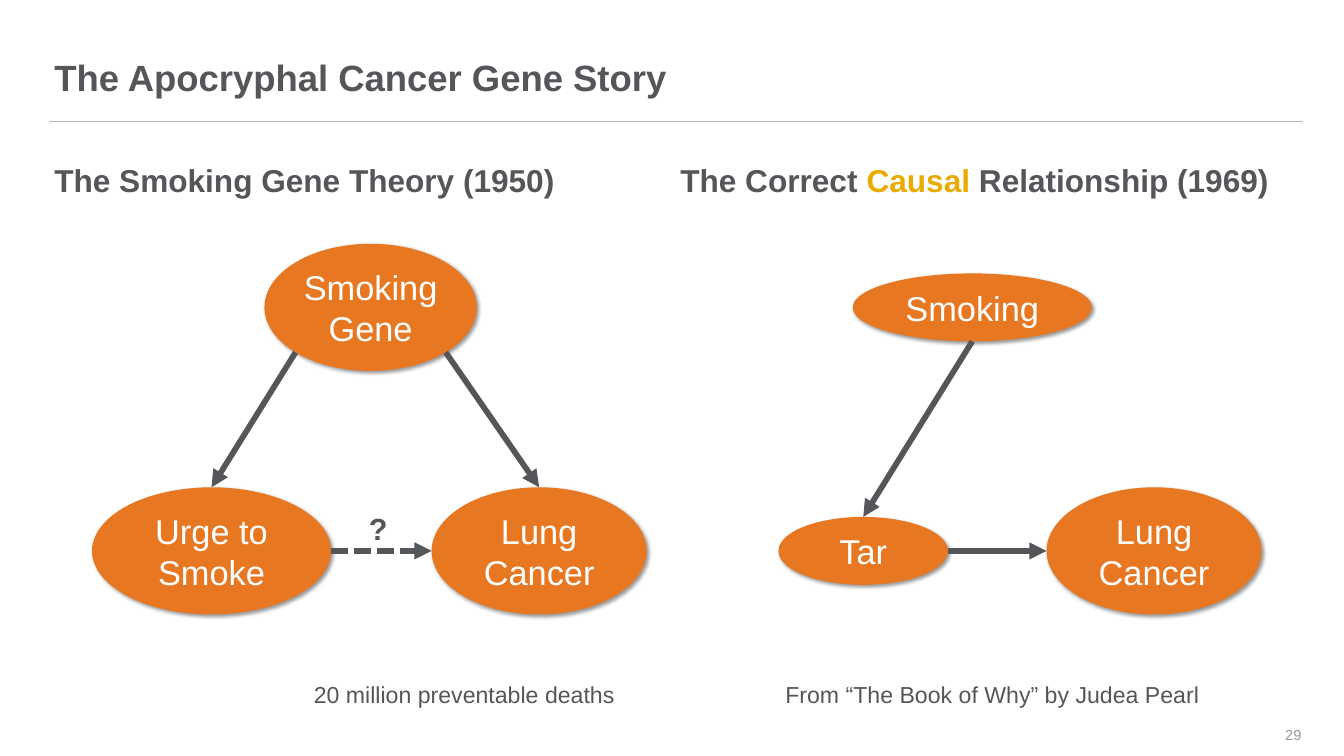
import math
from lxml import etree
from pptx import Presentation
from pptx.dml import color
from pptx.enum import dml, shapes, text
from pptx.oxml import ns
from pptx.util import Cm, Pt

COLORS = {"grey": "55565A", "orange": "E87722", "gold": "EAAA00",
          "rule": "B1B3B3", "pale": "999A9B", "white": "FFFFFF", "shadow": "000000"}
FONT = "Arial"
TOP_ROW, BOTTOM_ROW = 11.36, 20.36
LEFT_EDGE, RIGHT_EDGE = 2.01, 48.11

TITLE = "The Apocryphal Cancer Gene Story"
HEADINGS = [
    (LEFT_EDGE, 18.64, [("The Smoking Gene Theory (1950)", "grey")]),
    (25.15, 22.96, [("The Correct ", "grey"), ("Causal", "gold"),
                    (" Relationship (1969)", "grey")]),
]
NOTES = [
    (11.35, 13.06, "20 million preventable deaths"),
    (28.78, 16.48, "From “The Book of Why” by Judea Pearl"),
]
CAUSES = {
    "gene": ("Smoking\nGene", 13.7, TOP_ROW, 7.85, 4.7),
    "urge": ("Urge to\nSmoke", 7.82, BOTTOM_ROW, 8.84, 4.7),
    "cancer 1950": ("Lung\nCancer", 19.93, BOTTOM_ROW, 7.95, 4.7),
    "smoking": ("Smoking", 35.94, TOP_ROW, 8.84, 2.51),
    "tar": ("Tar", 31.91, BOTTOM_ROW, 6.27, 2.51),
    "cancer 1969": ("Lung\nCancer", 42.66, BOTTOM_ROW, 7.95, 4.7),
}
TOP, LEFT, LOWER_LEFT, BOTTOM, LOWER_RIGHT, RIGHT = 0, 2, 3, 4, 5, 6
ARROWS = [
    ("gene", LOWER_LEFT, "urge", TOP, False),
    ("gene", LOWER_RIGHT, "cancer 1950", TOP, False),
    ("urge", RIGHT, "cancer 1950", LEFT, True),
    ("smoking", BOTTOM, "tar", TOP, False),
    ("tar", RIGHT, "cancer 1969", LEFT, False),
]


def rgb(name):
    return color.RGBColor.from_string(COLORS[name])


def add_xml(parent, tag, **attributes):
    return etree.SubElement(parent, ns.qn(tag), attributes)


def style(paragraph, size, ink, bold=False):
    for run in paragraph.runs:
        run.font.name, run.font.size, run.font.bold = FONT, Pt(size), bold
        run.font.color.rgb = rgb(ink)


def add_text(slide, words, box, size, ink="grey", bold=False, inset=True, wrap=True,
             anchor=text.MSO_ANCHOR.TOP, align=text.PP_ALIGN.LEFT, spacing=1.0):
    frame = slide.shapes.add_textbox(*map(Cm, box)).text_frame
    frame.word_wrap, frame.vertical_anchor = wrap, anchor
    if not inset:
        frame.margin_left = frame.margin_top = frame.margin_right = frame.margin_bottom = 0
    paragraph = frame.paragraphs[0]
    paragraph.text = words
    paragraph.alignment, paragraph.line_spacing = align, spacing
    style(paragraph, size, ink, bold)
    return paragraph


def add_line(slide, start, end, ink, width):
    line = slide.shapes.add_connector(shapes.MSO_CONNECTOR.STRAIGHT, *map(Cm, start + end))
    line.line.color.rgb, line.line.width = rgb(ink), Pt(width)
    add_xml(line._element.spPr, "a:effectLst")
    return line


def add_cause(slide, words, x, y, width, height):
    oval = slide.shapes.add_shape(shapes.MSO_SHAPE.OVAL, Cm(x - width / 2),
                                  Cm(y - height / 2), Cm(width), Cm(height))
    oval.fill.solid()
    oval.fill.fore_color.rgb = rgb("orange")
    oval.line.fill.background()
    oval.shadow.inherit = False
    effects = oval._element.spPr.find(ns.qn("a:effectLst"))
    shadow = add_xml(effects, "a:outerShdw", blurRad=str(Pt(4)), dist=str(Pt(3)),
                     dir="2700000", algn="tl", rotWithShape="0")
    tint = add_xml(shadow, "a:srgbClr", val=COLORS["shadow"])
    add_xml(tint, "a:alpha", val="40000")
    frame = oval.text_frame
    frame.word_wrap, frame.vertical_anchor = True, text.MSO_ANCHOR.MIDDLE
    frame.text = words
    for paragraph in frame.paragraphs:
        paragraph.alignment = text.PP_ALIGN.CENTER
        style(paragraph, 36, "white")
    return oval


def rim_point(cause, site):
    _, x, y, width, height = CAUSES[cause]
    angle = math.radians(90 + 45 * site)
    return x + width / 2 * math.cos(angle), y - height / 2 * math.sin(angle)


def add_arrow(slide, ovals, source, source_site, target, target_site, dashed):
    arrow = add_line(slide, rim_point(source, source_site),
                     rim_point(target, target_site), "grey", 6)
    if dashed:
        arrow.line.dash_style = dml.MSO_LINE.SQUARE_DOT
    add_xml(arrow.line._get_or_add_ln(), "a:tailEnd", type="triangle")
    joints = arrow._element.find(".//" + ns.qn("p:cNvCxnSpPr"))
    for tag, cause, site in (("a:stCxn", source, source_site),
                             ("a:endCxn", target, target_site)):
        add_xml(joints, tag, id=str(ovals[cause].shape_id), idx=str(site))


def main():
    deck = Presentation()
    deck.slide_width, deck.slide_height = Cm(49.68), Cm(27.94)
    slide = deck.slides.add_slide(deck.slide_layouts[6])

    add_line(slide, (1.85, 4.5), (RIGHT_EDGE, 4.5), "rule", 1)
    add_text(slide, TITLE, (LEFT_EDGE, 0.74, RIGHT_EDGE - LEFT_EDGE, 2.92), 38.2,
             bold=True, inset=False, anchor=text.MSO_ANCHOR.BOTTOM, spacing=0.9)
    add_text(slide, "29", (45.9, 26.42, RIGHT_EDGE - 45.9, 1.5), 15.3, "pale", inset=False,
             anchor=text.MSO_ANCHOR.MIDDLE, align=text.PP_ALIGN.RIGHT)

    for left, width, parts in HEADINGS:
        heading = add_text(slide, "", (left, 6.05, width, 2.01), 33.1,
                           inset=False, spacing=0.95)
        for words, _ in parts:
            heading.add_run().text = words
        style(heading, 33.1, "grey", True)
        for run, (_, ink) in zip(heading.runs, parts):
            run.font.color.rgb = rgb(ink)

    ovals = {cause: add_cause(slide, *place) for cause, place in CAUSES.items()}
    for arrow in ARROWS:
        add_arrow(slide, ovals, *arrow)

    add_text(slide, "?", (13.39, 18.72, 1.22, 1.63), 32, bold=True, wrap=False)
    for left, width, words in NOTES:
        add_text(slide, words, (left, 25.04, width, 1.3), 24.2)
    deck.save("out.pptx")


if __name__ == "__main__":
    main()
